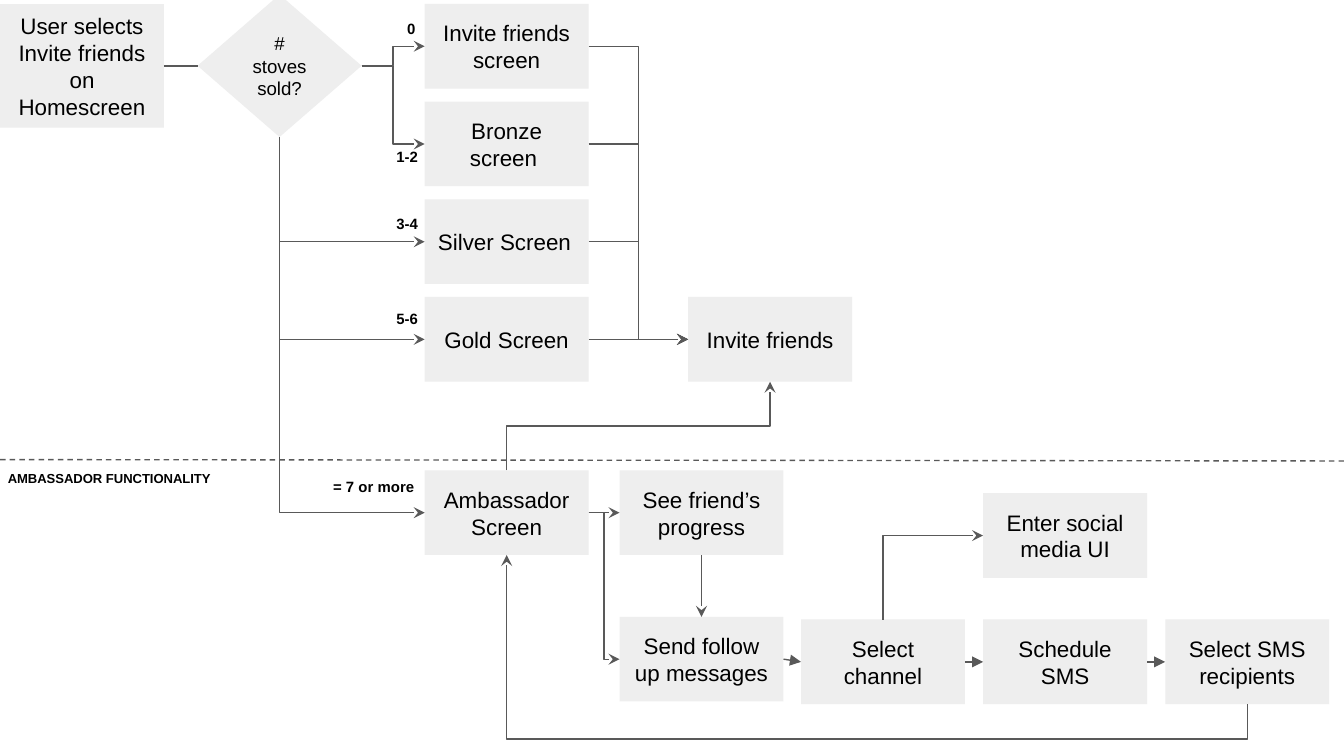
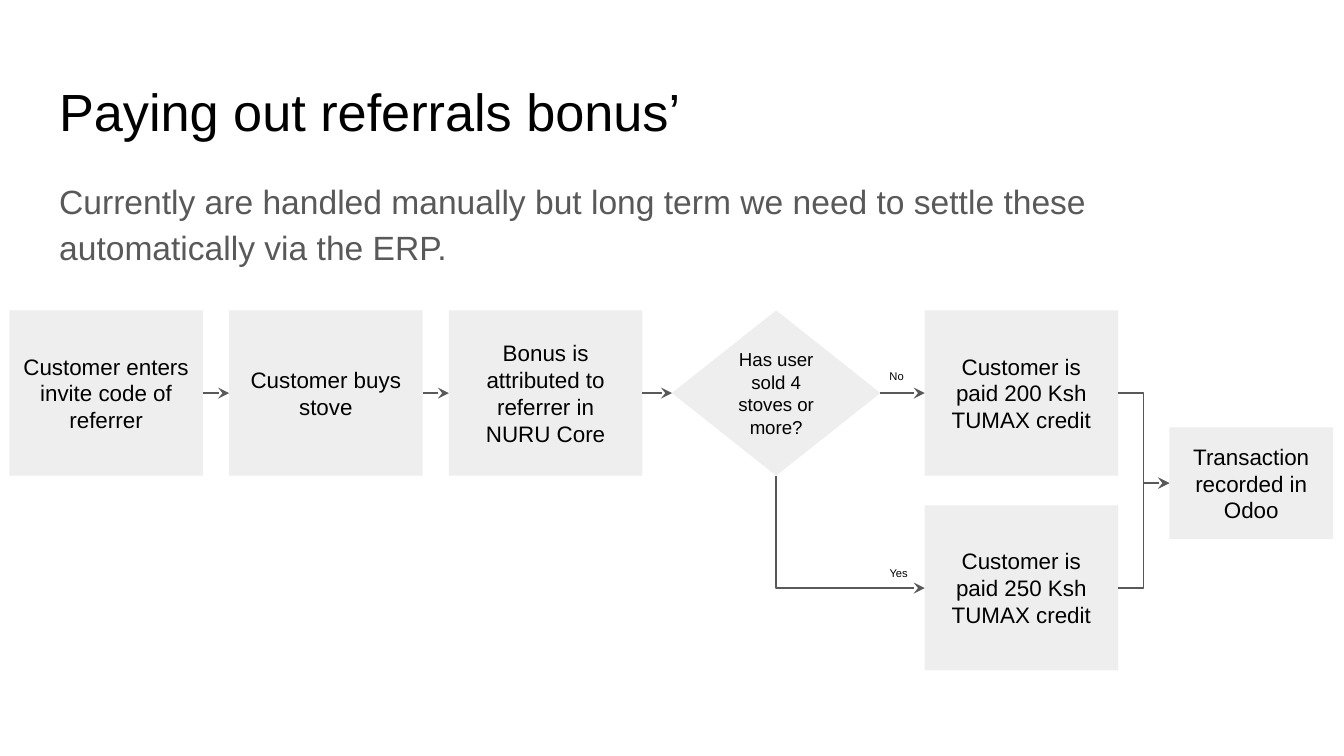
from dataclasses import dataclass
from typing import NamedTuple, Optional

from lxml.etree import SubElement
from pptx import Presentation
from pptx.dml.color import RGBColor
from pptx.enum.dml import MSO_LINE_DASH_STYLE as Dash
from pptx.enum.shapes import MSO_CONNECTOR_TYPE as Route
from pptx.enum.shapes import MSO_SHAPE as Form
from pptx.enum.text import MSO_ANCHOR as Anchor
from pptx.enum.text import PP_ALIGN as Align
from pptx.oxml.ns import qn
from pptx.util import Inches, Pt

COLORS = {"paper": "FFFFFF", "box": "EEEEEE", "ink": "000000", "line": "595959"}
FONT = "Arial"
INSET = Inches(0.1)
SLIDE_WIDTH = Inches(10)
SLIDE_HEIGHT = SLIDE_WIDTH * 9 // 16
TOP, LEFT, BOTTOM, RIGHT = range(4)


class Box(NamedTuple):
    left: float
    top: float
    width: float
    height: float


@dataclass(frozen=True)
class Grid:
    left: float
    top: float
    column: float
    row: float
    width: float
    height: float

    def cell(self, column: int, row: int) -> Box:
        return Box(self.left + column * self.column, self.top + row * self.row,
                   self.width, self.height)


class Step(NamedTuple):
    key: str
    text: str
    box: Box
    form: Form = Form.RECTANGLE
    size: float = 12
    align: Align = Align.CENTER


class Link(NamedTuple):
    source: str
    source_side: int
    target: str
    target_side: int
    bends: int = 0
    head: Optional[str] = "stealth"
    adjust: Optional[int] = None
    drop: float = 0


class Label(NamedTuple):
    text: str
    box: Box
    size: float = 8
    bold: bool = True


SCREENS = Grid(3.16, 0.03, 1.96, 2.18 / 3, 1.22, 0.63)
AMBASSADOR = Grid(3.16, 3.5, 1.45, 1.09, 1.22, 0.63)
MESSAGES = Grid(5.96, 3.67, 2.71 / 2, 0.94, 1.22, 0.63)
INTAKE = Grid(0.07, 2.31, 3.27 / 2, 1.45, 1.44, 1.23)
PAYMENT = Grid(6.88, 2.31, 1.82, 1.45, 1.44, 1.23)

INVITE_STEPS = [
    Step("start", "User selects Invite friends on Homescreen", Box(0, 0.03, 1.22, 0.92)),
    Step("stoves", "# stoves sold?", Box(1.47, -0.04, 1.22, 1.06), Form.DIAMOND, 10),
    Step("none", "Invite friends screen", SCREENS.cell(0, 0)),
    Step("bronze", "Bronze screen ", SCREENS.cell(0, 1)),
    Step("silver", "Silver Screen", SCREENS.cell(0, 2), align=Align.LEFT),
    Step("gold", "Gold Screen", SCREENS.cell(0, 3)),
    Step("invite", "Invite friends", SCREENS.cell(1, 3)),
    Step("ambassador", "Ambassador Screen", AMBASSADOR.cell(0, 0)),
    Step("progress", "See friend’s progress", AMBASSADOR.cell(1, 0)),
    Step("follow", "Send follow up messages ", AMBASSADOR.cell(1, 1)),
    Step("social", "Enter social media UI", MESSAGES.cell(1, 0)),
    Step("channel", "Select channel", MESSAGES.cell(0, 1)),
    Step("schedule", "Schedule SMS", MESSAGES.cell(1, 1)),
    Step("recipients", "Select SMS recipients", MESSAGES.cell(2, 1)),
]
INVITE_LINKS = [
    Link("start", RIGHT, "stoves", LEFT, head=None),
    *(Link("stoves", RIGHT, screen, LEFT, 2) for screen in ("bronze", "none")),
    *(Link("stoves", BOTTOM, screen, LEFT, 1) for screen in ("silver", "gold")),
    Link("stoves", BOTTOM, "ambassador", LEFT, 1, drop=0.57),
    *(Link(screen, RIGHT, "invite", LEFT, 2) for screen in ("none", "bronze", "silver")),
    Link("gold", RIGHT, "invite", LEFT),
    Link("ambassador", RIGHT, "progress", LEFT),
    Link("ambassador", RIGHT, "follow", LEFT, 2),
    Link("ambassador", TOP, "invite", BOTTOM, 2),
    Link("progress", BOTTOM, "follow", TOP),
    Link("recipients", BOTTOM, "ambassador", BOTTOM, 2, adjust=-23500),
    Link("follow", RIGHT, "channel", LEFT, head="triangle"),
    Link("channel", RIGHT, "schedule", LEFT, head="triangle"),
    Link("schedule", RIGHT, "recipients", LEFT, head="triangle"),
    Link("channel", TOP, "social", LEFT, 1),
]
INVITE_LABELS = [
    Label("AMBASSADOR FUNCTIONALITY", Box(-0.04, 3.44, 2.13, 0.73), 7),
    Label("0", Box(2.93, 0.08, 0.58, 0.15)),
    Label("1-2", Box(2.85, 1.03, 0.58, 0.15)),
    Label("3-4", Box(2.85, 1.53, 0.58, 0.15)),
    Label("5-6", Box(2.85, 2.24, 0.58, 0.15)),
    Label("= 7 or more", Box(2.38, 3.49, 0.88, 0.15)),
]

BONUS_STEPS = [
    Step("code", "Customer enters invite code of referrer", INTAKE.cell(0, 0)),
    Step("buys", "Customer buys stove", INTAKE.cell(1, 0)),
    Step("bonus", "Bonus is attributed to referrer in NURU Core", INTAKE.cell(2, 0)),
    Step("sold", "Has user sold 4 stoves or more?", Box(5, 2.31, 1.55, 1.23), Form.DIAMOND, 10),
    Step("low", "Customer is paid 200 Ksh TUMAX credit", PAYMENT.cell(0, 0)),
    Step("high", "Customer is paid 250 Ksh TUMAX credit", PAYMENT.cell(0, 1)),
    Step("record", "Transaction recorded in Odoo", Box(8.7, 3.18, 1.22, 0.83)),
]
BONUS_LINKS = [
    Link("code", RIGHT, "buys", LEFT),
    Link("buys", RIGHT, "bonus", LEFT),
    Link("bonus", RIGHT, "sold", LEFT),
    Link("sold", BOTTOM, "high", LEFT, 1),
    Link("sold", RIGHT, "low", LEFT),
    Link("high", RIGHT, "record", LEFT, 2),
    Link("low", RIGHT, "record", LEFT, 2),
]
BONUS_LABELS = [
    Label("No", Box(6.52, 2.7, 0.33, 0.17), 6, False),
    Label("Yes", Box(6.52, 4.16, 0.61, 0.17), 6, False),
]


def color(key: str) -> RGBColor:
    return RGBColor.from_string(COLORS[key])


def write(shape, text: str, size: float, ink: str = "ink", bold: bool = False,
          align: Align = Align.LEFT, anchor: Anchor = Anchor.TOP):
    frame = shape.text_frame
    frame.text = text
    frame.word_wrap = True
    frame.vertical_anchor = anchor
    frame.margin_left = frame.margin_right = INSET
    frame.margin_top = frame.margin_bottom = INSET
    paragraph = frame.paragraphs[0]
    paragraph.alignment = align
    paragraph.space_before = Pt(0)
    for run in paragraph.runs:
        run.font.name = FONT
        run.font.size = Pt(size)
        run.font.bold = bold
        run.font.color.rgb = color(ink)
    return paragraph


def add_step(slide, step: Step):
    shape = slide.shapes.add_shape(step.form, *map(Inches, step.box))
    shape.shadow.inherit = False
    shape.fill.solid()
    shape.fill.fore_color.rgb = color("box")
    shape.line.fill.background()
    write(shape, step.text, step.size, align=step.align, anchor=Anchor.MIDDLE)
    return shape


def add_label(slide, label: Label) -> None:
    caption = slide.shapes.add_textbox(*map(Inches, label.box))
    write(caption, label.text, label.size, bold=label.bold)


def side_point(shape, side: int) -> tuple[int, int]:
    across = {LEFT: 0, RIGHT: shape.width}.get(side, shape.width // 2)
    down = {TOP: 0, BOTTOM: shape.height}.get(side, shape.height // 2)
    return shape.left + across, shape.top + down


def style_line(connector, head: Optional[str] = None, dash: Optional[Dash] = None) -> None:
    connector.line.color.rgb = color("line")
    connector.line.width = Pt(0.75)
    if dash:
        connector.line.dash_style = dash
    properties = connector._element.spPr
    if head:
        SubElement(properties.find(qn("a:ln")), qn("a:tailEnd"), type=head)
    SubElement(properties, qn("a:effectLst"))


def add_vertical_elbow(slide, x1: int, y1: int, x2: int, y2: int):
    run, rise = x2 - x1, y2 - y1
    left = (x1 + x2 - abs(rise)) // 2
    top = (y1 + y2 - abs(run)) // 2
    elbow = slide.shapes.add_connector(Route.ELBOW, left, top, left + abs(rise), top + abs(run))
    transform = elbow._element.spPr.find(qn("a:xfrm"))
    transform.set("rot", str((90 if rise > 0 else 270) * 60000))
    if (run > 0) == (rise > 0):
        transform.set("flipV", "1")
    return elbow


def add_link(slide, link: Link, shapes: dict) -> None:
    source, target = shapes[link.source], shapes[link.target]
    x1, y1 = side_point(source, link.source_side)
    x2, y2 = side_point(target, link.target_side)
    y1 += Inches(link.drop)
    if not link.bends:
        connector = slide.shapes.add_connector(Route.STRAIGHT, x1, y1, x2, y2)
        connector.begin_connect(source, link.source_side)
        connector.end_connect(target, link.target_side)
    elif link.source_side in (TOP, BOTTOM):
        connector = add_vertical_elbow(slide, x1, y1, x2, y2)
    else:
        connector = slide.shapes.add_connector(Route.ELBOW, x1, y1, x2, y2)
    geometry = connector._element.spPr.find(qn("a:prstGeom"))
    if link.bends == 1:
        geometry.set("prst", "bentConnector2")
    if link.adjust is not None:
        SubElement(geometry.find(qn("a:avLst")), qn("a:gd"),
                   name="adj1", fmla=f"val {link.adjust}")
    style_line(connector, link.head)


def add_flow(slide, steps: list[Step], links: list[Link], labels: list[Label]) -> None:
    slide.background.fill.solid()
    slide.background.fill.fore_color.rgb = color("paper")
    shapes = {step.key: add_step(slide, step) for step in steps}
    for link in links:
        add_link(slide, link, shapes)
    for label in labels:
        add_label(slide, label)


def place(shape, box: Box) -> None:
    shape.left, shape.top, shape.width, shape.height = map(Inches, box)


def build_invite(deck) -> None:
    slide = deck.slides.add_slide(deck.slide_layouts[6])
    add_flow(slide, INVITE_STEPS, INVITE_LINKS, INVITE_LABELS)
    divider = slide.shapes.add_connector(Route.STRAIGHT, 0, Inches(3.42),
                                         SLIDE_WIDTH, Inches(3.43))
    style_line(divider, dash=Dash.DASH)


def build_bonus(deck) -> None:
    slide = deck.slides.add_slide(deck.slide_layouts[1])
    title, body = slide.shapes.title, slide.placeholders[1]
    place(title, Box(0.34, 0.49, 9.32, 0.63))
    write(title, "Paying out referrals bonus’", 28)
    place(body, Box(0.34, 1.2, 9.32, 0.74))
    summary = write(body, "Currently are handled manually but long term we need to settle these "
                    "automatically via the ERP.", 18, "line")
    summary.line_spacing = 1.15
    layout = summary._p.get_or_add_pPr()
    layout.set("marL", "0")
    layout.set("indent", "0")
    SubElement(layout, qn("a:buNone"))
    add_flow(slide, BONUS_STEPS, BONUS_LINKS, BONUS_LABELS)


def main() -> None:
    deck = Presentation()
    deck.slide_width, deck.slide_height = SLIDE_WIDTH, SLIDE_HEIGHT
    build_invite(deck)
    build_bonus(deck)
    deck.save("out.pptx")


if __name__ == "__main__":
    main()
